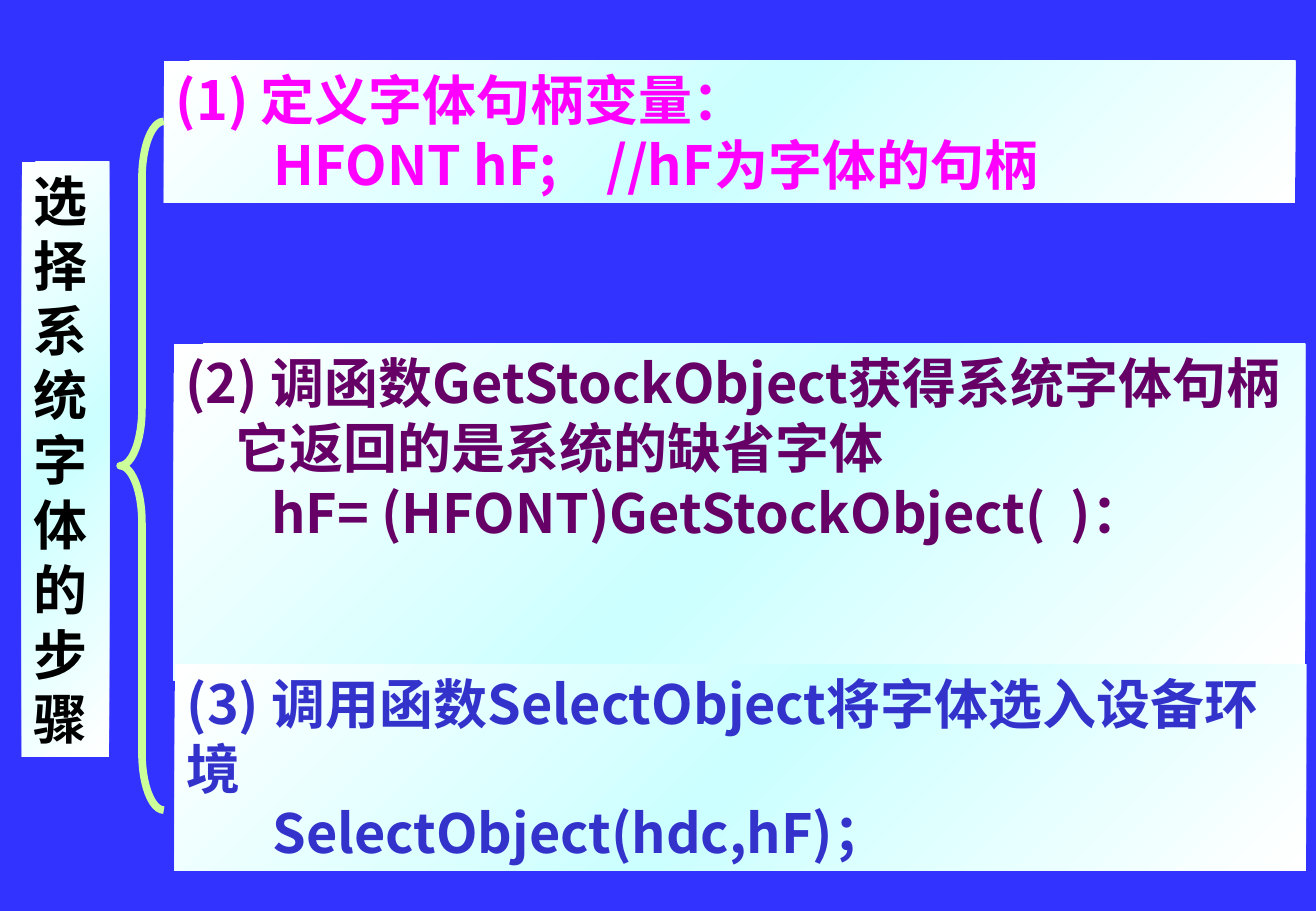
from copy import deepcopy

from lxml import etree
from pptx import Presentation
from pptx.dml.color import RGBColor
from pptx.enum.shapes import MSO_SHAPE
from pptx.enum.text import MSO_ANCHOR, PP_ALIGN
from pptx.oxml.ns import qn
from pptx.util import Inches, Pt

RECT, BRACE = MSO_SHAPE.RECTANGLE, MSO_SHAPE.LEFT_BRACE
TOP, LEFT = MSO_ANCHOR.TOP, PP_ALIGN.LEFT

THEME = {
    "background": "3333FF",
    "panel": ["FFFFFF", "CCFFFF", "FFFFFF"],
    "brace": "CCFF99",
    "title": "000000",
    "define": "FF00FF",
    "obtain": "660066",
    "select": "3333CC",
    "size": Pt(32),
    "brace_width": Pt(4.5),
    "sans": "Noto Sans CJK SC",
    "serif": "Times New Roman",
}

prs = Presentation()
prs.slide_width, prs.slide_height = Inches(10.84), Inches(7.5)
COL, ROW = prs.slide_width / 100, prs.slide_height / 100
s = prs.slides.add_slide(prs.slide_layouts[6])
s.background.fill.solid()
s.background.fill.fore_color.rgb = RGBColor.from_string(THEME["background"])


def place(kind, x, y, w, h):
    sp = s.shapes.add_shape(kind, int(x * COL), int(y * ROW), int(w * COL), int(h * ROW))
    sp.shadow.inherit = False
    return sp


STEP_W = 85.98
INDENT = 3.8
panels = [
    (12.45, 6.67, STEP_W, 15.6, "define", "sans", [
        ("(1) 定义字体句柄变量：", 0),
        ("        HFONT hF;    //hF为字体的句柄", 0),
    ]),
    (13.19, 37.73, STEP_W, 36.93, "obtain", "sans", [
        ("(2) 调函数GetStockObject获得系统字体句柄", 0),
        ("它返回的是系统的缺省字体", INDENT),
        ("       hF= (HFONT)GetStockObject(  )：", 0),
    ]),
    (13.28, 72.93, STEP_W, 22.67, "select", "sans", [
        ("(3) 调用函数SelectObject将字体选入设备环境", 0),
        ("       SelectObject(hdc,hF)；", 0),
    ]),
    (1.66, 17.73, 6.64, 65.33, "title", "serif", [("选择系统字体的步骤", 0)]),
]

for x, y, w, h, color, face, lines in panels:
    sp = place(RECT, x, y, w, h)
    sp.line.fill.background()
    sp.fill.gradient()
    sp.fill.gradient_angle = 315
    stop_list = sp._element.spPr.find(".//" + qn("a:gsLst"))
    stop_list.append(deepcopy(stop_list[-1]))
    for i, stop in enumerate(sp.fill.gradient_stops):
        stop.position = i / 2
        stop.color.rgb = RGBColor.from_string(THEME["panel"][i])
    tf = sp.text_frame
    tf.word_wrap = True
    tf.vertical_anchor = TOP
    for i, (text, indent) in enumerate(lines):
        p = tf.paragraphs[0] if i == 0 else tf.add_paragraph()
        p.text = text
        p.alignment = LEFT
        p.font.size = THEME["size"]
        p.font.bold = True
        p.font.name = THEME[face]
        p.font.color.rgb = RGBColor.from_string(THEME[color])
        pPr = p._p.pPr
        pPr.set("marL", str(int(indent * COL)))
        latin = pPr.find(".//" + qn("a:latin"))
        east_asian = etree.Element(qn("a:ea"), typeface=THEME["sans"])
        latin.addnext(east_asian)

brace = place(BRACE, 9.13, 13.33, 3.32, 75.6)
brace.adjustments[0] = 1.31
brace.fill.background()
brace.line.color.rgb = RGBColor.from_string(THEME["brace"])
brace.line.width = THEME["brace_width"]

prs.save("out.pptx")
